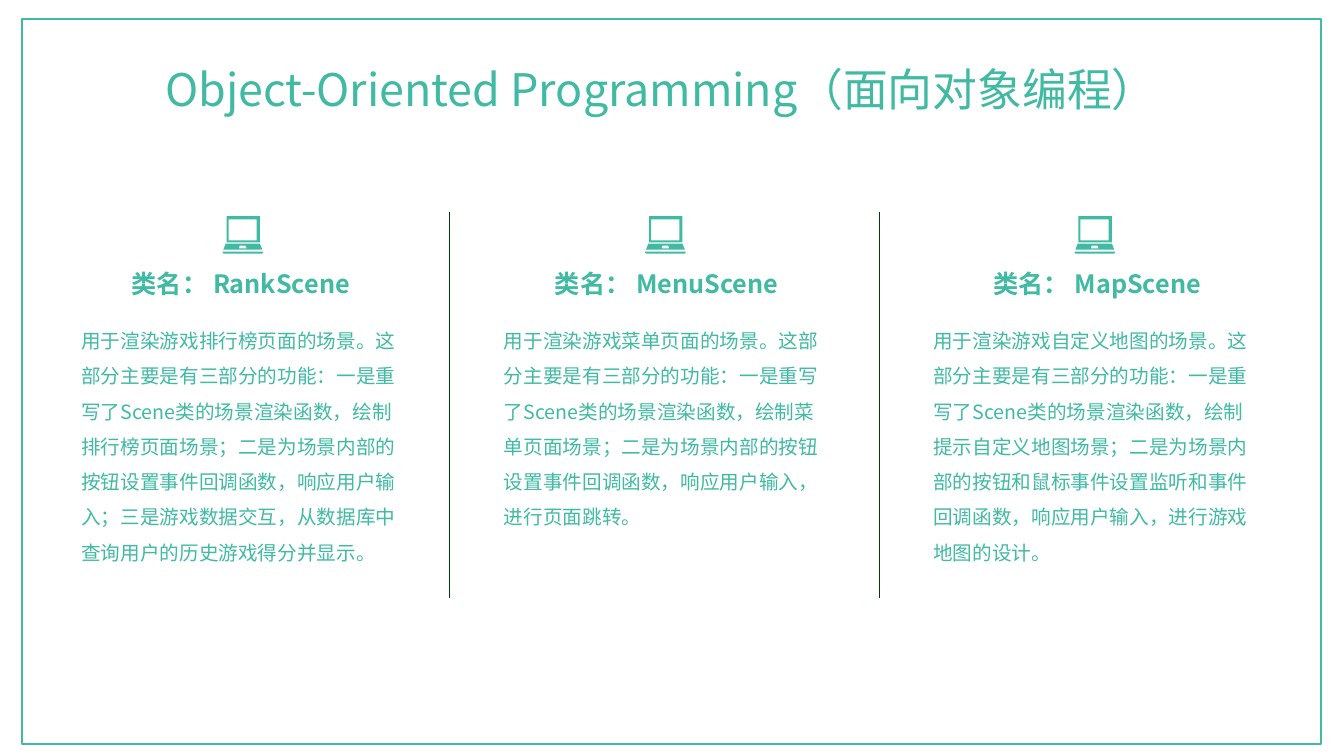
from lxml.etree import SubElement
from pptx import Presentation
from pptx.dml.color import RGBColor
from pptx.enum.shapes import MSO_CONNECTOR as Conn, MSO_SHAPE as Shape
from pptx.enum.text import MSO_AUTO_SIZE as Fit, PP_ALIGN as Align
from pptx.oxml.ns import qn
from pptx.util import Cm, Pt

# Content
TITLE = "Object-Oriented Programming（面向对象编程）"
# Lengths in cm: left of the body, left and width of the heading
COLUMNS = [
    dict(name="RankScene", left=1.8, head=(2.41, 7.32), height=6.43,
         body="用于渲染游戏排行榜页面的场景。这部分主要是有三部分的功能：一是重写了Scene类的场景渲染函数，"
              "绘制排行榜页面场景；二是为场景内部的按钮设置事件回调函数，响应用户输入；"
              "三是游戏数据交互，从数据库中查询用户的历史游戏得分并显示。"),
    dict(name="MenuScene", left=12.45, head=(13.46, 6.68), height=5.54,
         body="用于渲染游戏菜单页面的场景。这部分主要是有三部分的功能：一是重写了Scene类的场景渲染函数，"
              "绘制菜单页面场景；二是为场景内部的按钮设置事件回调函数，响应用户输入，进行页面跳转。"),
    dict(name="MapScene", left=23.27, head=(24.03, 7.24), height=6.43,
         body="用于渲染游戏自定义地图的场景。这部分主要是有三部分的功能：一是重写了Scene类的场景渲染函数，"
              "绘制提示自定义地图场景；二是为场景内部的按钮和鼠标事件设置监听和事件回调函数，"
              "响应用户输入，进行游戏地图的设计。"),
]
DIVIDERS = [11.33, 22.17]

# Laptop outlines, in hundredths of a cm
LAPTOP = [
    [(94, 69), (8, 69), (2, 84), (100, 84)],                         # keyboard
    [(41, 81), (43, 74), (58, 74), (61, 81)],                        # touchpad
    [(94, 66), (94, 0), (10, 0), (10, 66)],                          # lid
    [(86, 61), (15, 61), (15, 8), (86, 8)],                          # screen
    [(102, 89), (0, 89), (0, 92), (3, 94), (99, 94), (102, 92)],     # foot
]

THEME = dict(
    green=RGBColor(0x40, 0xBA, 0xA3), dark=RGBColor(0x02, 0x3D, 0x05),
    font="Noto Sans CJK SC", title=32, heading=18, body=14,
)


def add_text(shapes, text, box, *, size, bold=None, align=None, spacing=None):
    sp = shapes.add_textbox(*map(Cm, box))
    tf = sp.text_frame
    tf.word_wrap = True
    tf.auto_size = Fit.SHAPE_TO_FIT_TEXT
    p = tf.paragraphs[0]
    p.alignment, p.line_spacing = align, spacing
    r = p.add_run()
    r.text = text
    r.font.size, r.font.bold, r.font.name = Pt(size), bold, THEME["font"]
    r.font.color.rgb = THEME["green"]
    SubElement(r.font._element, qn("a:ea"), typeface=THEME["font"])


def add_laptop(shapes, left, top):
    (start, *rest), *others = LAPTOP
    outline = shapes.build_freeform(*start, scale=Cm(0.01))
    outline.add_line_segments(rest)
    for first, *points in others:
        outline.move_to(*first)
        outline.add_line_segments(points)
    sp = outline.convert_to_shape(Cm(left), Cm(top))
    sp.shadow.inherit = False
    sp.fill.solid()
    sp.fill.fore_color.rgb = THEME["green"]
    sp.line.fill.background()


prs = Presentation()
prs.slide_width, prs.slide_height = Cm(33.87), Cm(19.05)
s = prs.slides.add_slide(prs.slide_layouts[6])

# Dividers between the columns
for x in DIVIDERS:
    line = s.shapes.add_connector(Conn.STRAIGHT, Cm(x), Cm(5.35), Cm(x), Cm(15.08))
    line.line.color.rgb = THEME["dark"]
    line.line.width = Pt(1)
    SubElement(line._element.spPr, qn("a:effectLst"))

# Frame and title
frame = s.shapes.add_shape(Shape.RECTANGLE, Cm(0.56), Cm(0.48), Cm(32.74), Cm(18.26))
frame.shadow.inherit = False
frame.fill.background()
frame.line.color.rgb = THEME["green"]
frame.line.width = Pt(1.5)
add_text(s.shapes, TITLE, (2.41, 1.42, 28.5, 1.62),
         size=THEME["title"], align=Align.CENTER)

# One group per class: icon, heading, description
for col in COLUMNS:
    shapes = s.shapes.add_group_shape().shapes
    head_left, head_width = col["head"]
    add_laptop(shapes, col["left"] + 3.81, 5.45)
    add_text(shapes, f"类名： {col['name']}", (head_left, 6.64, head_width, 1.02),
             size=THEME["heading"], bold=True, align=Align.CENTER)
    add_text(shapes, col["body"], (col["left"], 7.87, 8.81, col["height"]),
             size=THEME["body"], spacing=1.5)

prs.save("out.pptx")
